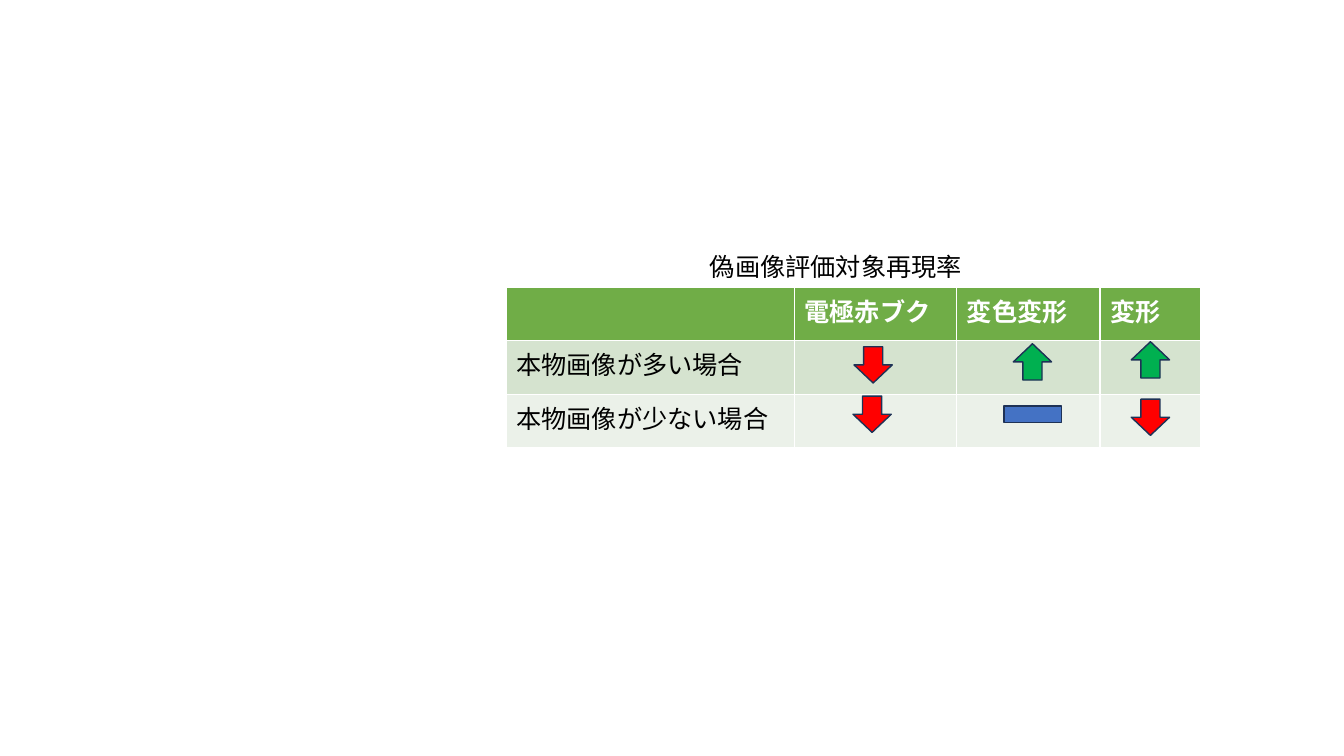
from pptx import Presentation
from pptx.dml.color import RGBColor
from pptx.enum.shapes import MSO_SHAPE
from pptx.enum.text import MSO_ANCHOR, MSO_AUTO_SIZE, PP_ALIGN
from pptx.util import Inches, Pt

FONT = "Calibri"
COLUMN_WIDTHS = [2.86, 1.61, 1.42, 1]
ROW_HEIGHT = 0.53
ROW_FILLS = ["70AD47", "D5E3CF", "EBF1E9"]
ROWS = [
    ["", "電極赤ブク", "変色変形", "変形"],
    ["本物画像が多い場合", "", "", ""],
    ["本物画像が少ない場合", "", "", ""],
]
DECREASE = {"fill": "FF0000", "rotation": 0}
INCREASE = {"fill": "00B050", "rotation": 180}
TREND_ARROWS = [
    (8.47, 3.44, DECREASE),
    (10.05, 3.41, INCREASE),
    (11.22, 3.39, INCREASE),
    (8.46, 3.93, DECREASE),
    (11.22, 3.96, DECREASE),
]


def color(hex_string):
    return RGBColor.from_string(hex_string)


def write_text(text_frame, text, size=18, text_color="000000", bold=False):
    paragraph = text_frame.paragraphs[0]
    paragraph.alignment = PP_ALIGN.LEFT
    run = paragraph.add_run()
    run.text = text
    run.font.name = FONT
    run.font.size = Pt(size)
    run.font.bold = bold
    run.font.color.rgb = color(text_color)


def place_title(slide, text):
    title = slide.shapes.title
    title.left, title.top = Inches(6.94), Inches(2.44)
    title.width, title.height = Inches(2.87), Inches(0.4)
    text_frame = title.text_frame
    text_frame.word_wrap = True
    text_frame.auto_size = MSO_AUTO_SIZE.NONE
    text_frame.vertical_anchor = MSO_ANCHOR.TOP
    write_text(text_frame, text)


def add_recall_table(slide):
    table = slide.shapes.add_table(
        len(ROWS), len(COLUMN_WIDTHS), Inches(5.02), Inches(2.85),
        Inches(sum(COLUMN_WIDTHS)), Inches(ROW_HEIGHT * len(ROWS)),
    ).table
    for column, width in zip(table.columns, COLUMN_WIDTHS):
        column.width = Inches(width)
    for row_index, (texts, row_fill) in enumerate(zip(ROWS, ROW_FILLS)):
        table.rows[row_index].height = Inches(ROW_HEIGHT)
        is_header = row_index == 0
        for column_index, text in enumerate(texts):
            cell = table.cell(row_index, column_index)
            cell.fill.solid()
            cell.fill.fore_color.rgb = color(row_fill)
            if text:
                write_text(cell.text_frame, text, bold=is_header,
                           text_color="FFFFFF" if is_header else "000000")


def add_mark(slide, kind, left, top, width, height, fill, rotation=0):
    shape = slide.shapes.add_shape(
        kind, Inches(left), Inches(top), Inches(width), Inches(height))
    shape.rotation = rotation
    shape.shadow.inherit = False
    shape.fill.solid()
    shape.fill.fore_color.rgb = color(fill)
    shape.line.color.rgb = color("1E3256")
    shape.line.width = Pt(1)


def main():
    presentation = Presentation()
    presentation.slide_width = Inches(13.33)
    presentation.slide_height = Inches(7.5)
    slide = presentation.slides.add_slide(presentation.slide_layouts[5])
    place_title(slide, "偽画像評価対象再現率")
    add_recall_table(slide)
    for left, top, trend in TREND_ARROWS:
        add_mark(slide, MSO_SHAPE.DOWN_ARROW, left, top, 0.38, 0.36, **trend)
    add_mark(slide, MSO_SHAPE.RECTANGLE, 9.96, 4.03, 0.57, 0.16, "4472C4")
    presentation.save("out.pptx")


main()
